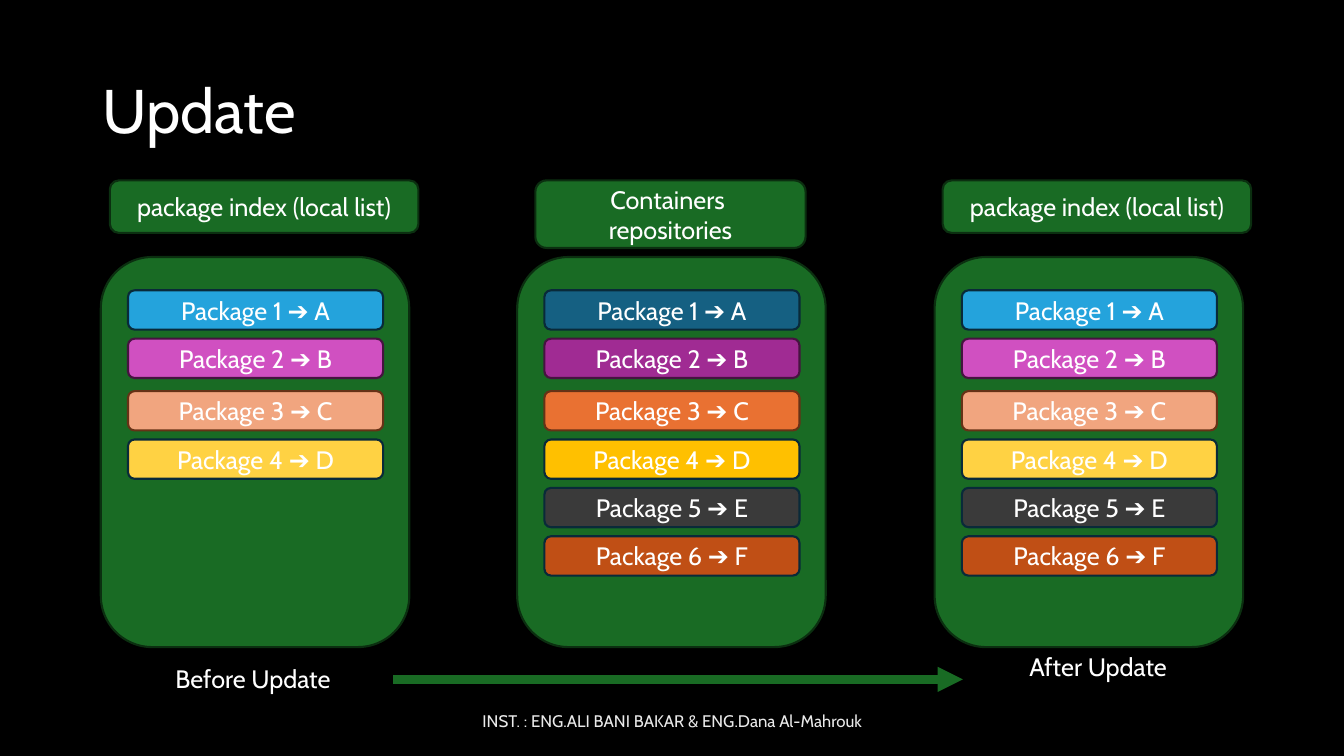
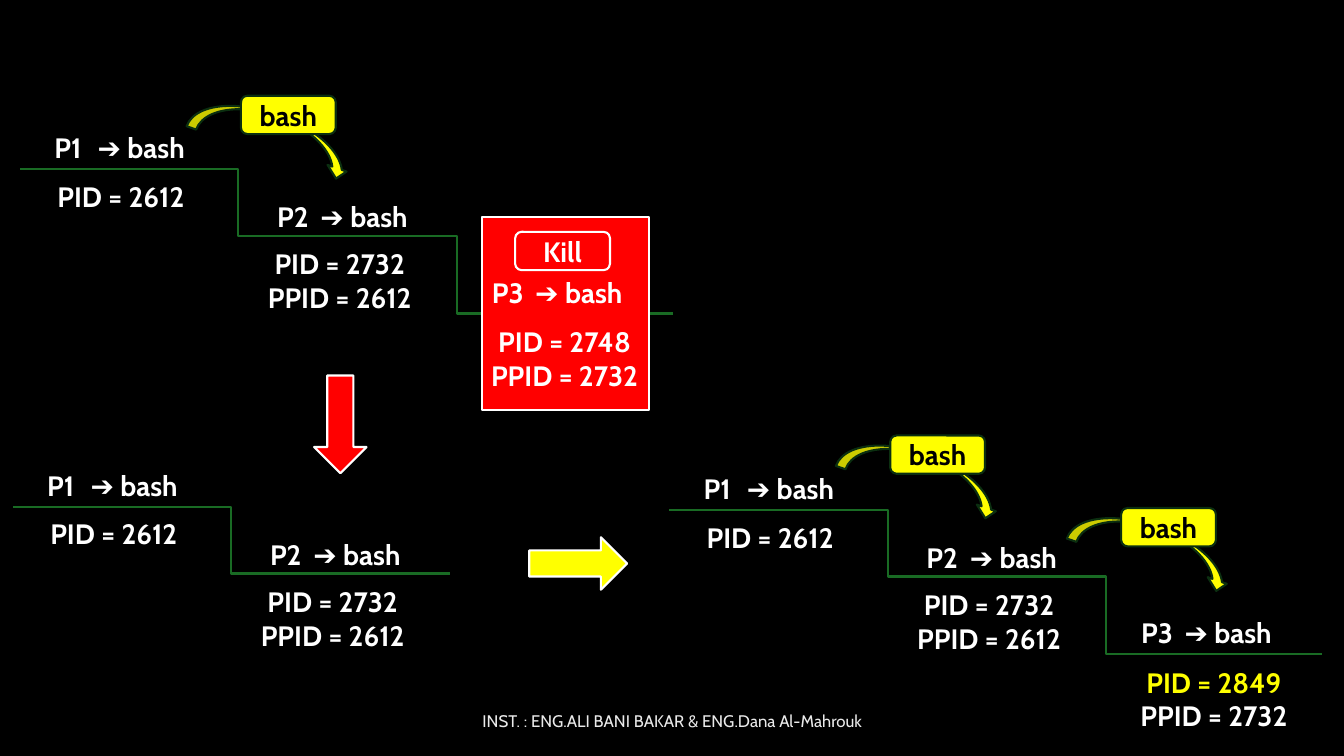
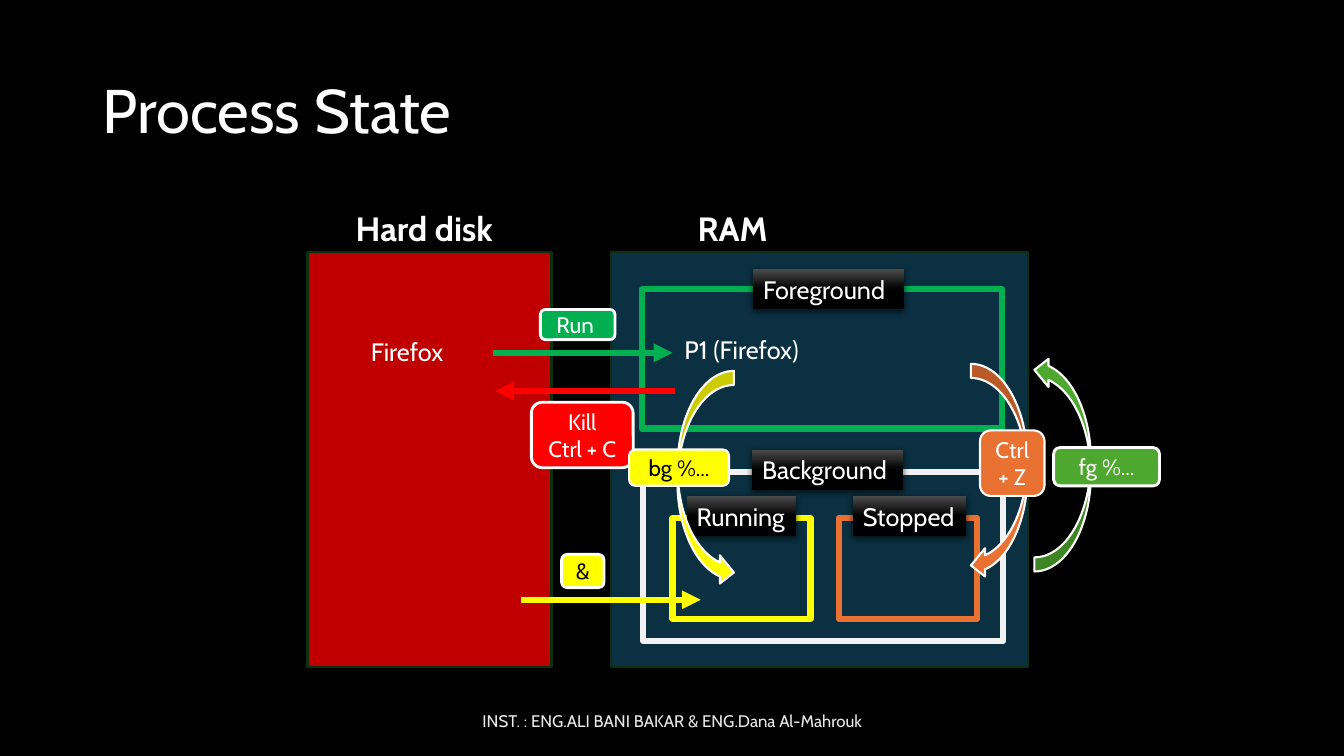
from dataclasses import dataclass

import lxml.etree
import pptx
import pptx.dml.color
import pptx.enum.shapes
import pptx.enum.text
import pptx.oxml.ns
import pptx.util

Inches = pptx.util.Inches
Pt = pptx.util.Pt
qn = pptx.oxml.ns.qn
ShapeKind = pptx.enum.shapes.MSO_SHAPE
ConnectorKind = pptx.enum.shapes.MSO_CONNECTOR
Align = pptx.enum.text.PP_ALIGN
Anchor = pptx.enum.text.MSO_ANCHOR


@dataclass(frozen=True)
class Theme:
    font: str = "Cabin"
    title_size: int = 44
    heading_size: int = 24
    process_size: int = 20
    body_size: int = 18
    tag_size: int = 16
    footer_size: int = 12
    black: str = "000000"
    white: str = "FFFFFF"
    footer: str = "EAEAEA"
    green: str = "196B24"
    dark_green: str = "0B2F10"
    navy: str = "092A39"
    plum: str = "461340"
    brown: str = "663216"
    red: str = "FF0000"
    yellow: str = "FFFF00"
    run_green: str = "00B050"
    fg_green: str = "4EA72E"
    orange: str = "E97132"
    disk_red: str = "C00000"
    ram_blue: str = "0B3041"
    pale: str = "F2F2F2"
    plate_gray: str = "4B4B4B"


THEME = Theme()
FOOTER = "INST. : ENG.ALI BANI BAKAR & ENG.Dana Al-Mahrouk"
LOCAL_COLORS = ["24A3DC", "D050C1", "F1A57F", "FFD243", "3A3A3A", "C04F15"]
REPOSITORY_COLORS = ["156082", "A02B93", "E97132", "FFC000", "3A3A3A", "C04F15"]
BAR_OUTLINES = [THEME.navy, THEME.plum, THEME.brown] + [THEME.navy] * 3


def rgb(color):
    return pptx.dml.color.RGBColor.from_string(color)


def write_text(shape, text, *, size=THEME.body_size, color=THEME.white,
               first_color=None, bold=False, align=Align.LEFT,
               anchor=Anchor.TOP, wrap=True, spacing=None, tab=None):
    frame = shape.text_frame
    frame.word_wrap = wrap
    frame.vertical_anchor = anchor
    for index, line in enumerate(text.split("\n")):
        paragraph = frame.add_paragraph() if index else frame.paragraphs[0]
        if tab:
            properties = paragraph._p.get_or_add_pPr()
            tabs = lxml.etree.SubElement(properties, qn("a:tabLst"))
            lxml.etree.SubElement(tabs, qn("a:tab"), pos=str(Inches(tab)), algn="l")
        paragraph.alignment = align
        if spacing:
            paragraph.line_spacing = spacing
        run = paragraph.add_run()
        run.text = line
        run.font.name = THEME.font
        run.font.size = Pt(size)
        run.font.bold = bold
        run.font.color.rgb = rgb(first_color if first_color and index == 0 else color)


def add_label(slide, text, left, top, width, height=0.4, **text_format):
    label = slide.shapes.add_textbox(*map(Inches, (left, top, width, height)))
    write_text(label, text, **text_format)


def add_block(slide, kind, left, top, width, height, fill=None,
              outline=THEME.dark_green, weight=1.5, rotation=0, flip=None):
    shape = slide.shapes.add_shape(kind, *map(Inches, (left, top, width, height)))
    shape.shadow.inherit = False
    if fill:
        shape.fill.solid()
        shape.fill.fore_color.rgb = rgb(fill)
    else:
        shape.fill.background()
    if outline:
        shape.line.color.rgb = rgb(outline)
        shape.line.width = Pt(weight)
    else:
        shape.line.fill.background()
    shape.rotation = rotation
    if flip:
        shape._element.spPr.find(qn("a:xfrm")).set(flip, "1")
    return shape


def add_tag(slide, text, left, top, width, height, fill,
            outline=THEME.dark_green, weight=1.5, **text_format):
    tag = add_block(slide, ShapeKind.ROUNDED_RECTANGLE, left, top, width, height,
                    fill, outline, weight)
    write_text(tag, text, align=Align.CENTER, anchor=Anchor.MIDDLE, **text_format)


def add_line(slide, start, end, color, weight,
             kind=ConnectorKind.STRAIGHT, arrow=True):
    connector = slide.shapes.add_connector(kind, *map(Inches, start + end))
    connector.line.color.rgb = rgb(color)
    connector.line.width = Pt(weight)
    if arrow:
        lxml.etree.SubElement(connector.line._get_or_add_ln(), qn("a:tailEnd"),
                              type="triangle")
    lxml.etree.SubElement(connector._element.spPr, qn("a:effectLst"))


def add_plate(slide, text, left, top, width):
    plate = add_block(slide, ShapeKind.RECTANGLE, left, top, width, 0.4, outline=None)
    plate.fill.gradient()
    plate.fill.gradient_angle = 270
    stops = zip(plate.fill.gradient_stops, (0, 0.5), (THEME.plate_gray, THEME.black))
    for stop, position, color in stops:
        stop.position = position
        stop.color.rgb = rgb(color)
    effects = plate._element.spPr.find(qn("a:effectLst"))
    shadow = lxml.etree.SubElement(effects, qn("a:outerShdw"), blurRad=str(Pt(4.5)),
                                   dist=str(Pt(1.5)), dir="5400000",
                                   algn="ctr", rotWithShape="0")
    shade = lxml.etree.SubElement(shadow, qn("a:srgbClr"), val=THEME.black)
    lxml.etree.SubElement(shade, qn("a:alpha"), val="63000")
    write_text(plate, text, wrap=False)


def start_slide(presentation, title=None):
    slide = presentation.slides.add_slide(presentation.slide_layouts[6])
    if title:
        add_label(slide, title, 0.92, 0.4, 11.5, 1.45, size=THEME.title_size,
                  anchor=Anchor.MIDDLE, spacing=0.9)
    add_label(slide, FOOTER, 4.42, 6.95, 4.5, size=THEME.footer_size,
              color=THEME.footer, align=Align.CENTER, anchor=Anchor.MIDDLE)
    return slide


def add_package_column(slide, left, colors):
    add_block(slide, ShapeKind.ROUNDED_RECTANGLE, left, 2.55, 3.06, 3.87, THEME.green)
    for index, (fill, outline) in enumerate(zip(colors, BAR_OUTLINES)):
        top = 2.88 + 0.48 * index + (0.04 if index > 1 else 0)
        add_tag(slide, f"Package {index + 1} ➔ {'ABCDEF'[index]}",
                left + 0.27, top, 2.53, 0.39, fill, outline)


def build_update(presentation):
    slide = start_slide(presentation, "Update")
    for left, colors in ((1, LOCAL_COLORS[:4]), (5.13, REPOSITORY_COLORS),
                         (9.27, LOCAL_COLORS)):
        add_package_column(slide, left, colors)
    for left in (1.09, 9.35):
        add_tag(slide, "package index (local list)", left, 1.79, 3.06, 0.52, THEME.green)
    add_tag(slide, "Containers \nrepositories", 5.31, 1.79, 2.68, 0.67, THEME.green)
    add_label(slide, "Before Update", 1.64, 6.53, 1.77, wrap=False)
    add_label(slide, "After Update", 10.11, 6.41, 1.58, wrap=False)
    add_line(slide, (3.9, 6.74), (9.55, 6.74), THEME.green, 6)


def add_stair_lines(slide, left, top, count):
    steps = [((0, 0), (4.33, 0.66)), ((2.19, 0.66), (6.47, 1.43))]
    for start, end in steps[:count - 1]:
        add_line(slide, (left + start[0], top + start[1]),
                 (left + end[0], top + end[1]), THEME.green, 1.5,
                 ConnectorKind.ELBOW, arrow=False)


def add_stair_labels(slide, left, top, last_pid=None, last_color=THEME.white):
    style = dict(size=THEME.process_size, bold=True)
    names = [(0.24, -0.43), (2.45, 0.25), (4.58, 1)]
    for index, (across, down) in enumerate(names[:3 if last_pid else 2]):
        add_label(slide, f"P{index + 1}\t➔ bash", left + across, top + down,
                  1.62, 0.44, tab=0.43, **style)
    add_label(slide, "PID = 2612", left + 0.27, top + 0.05, 1.51, 0.44,
              wrap=False, **style)
    add_label(slide, "PID = 2732\nPPID = 2612", left + 2.33, top + 0.72, 1.68, 0.77,
              wrap=False, align=Align.CENTER, **style)
    if last_pid:
        add_label(slide, f"PID = {last_pid}\nPPID = 2732", left + 4.56, top + 1.49,
                  1.68, 0.77, wrap=False, align=Align.CENTER,
                  first_color=last_color, **style)


def add_bash_call(slide, left, top):
    add_block(slide, ShapeKind.CURVED_DOWN_ARROW, left, top, 1.67, 0.4,
              THEME.yellow, rotation=19.3)
    add_tag(slide, "bash", left + 0.52, top - 0.19, 0.94, 0.38, THEME.yellow,
            size=THEME.process_size, color=THEME.black, bold=True)


def build_processes(presentation):
    slide = start_slide(presentation)
    running, killed, restarted = (0.2, 1.68), (0.13, 5.03), (6.64, 5.06)
    for origin, count in ((running, 3), (killed, 2), (restarted, 3)):
        add_stair_lines(slide, *origin, count)
    add_block(slide, ShapeKind.RECTANGLE, 4.78, 2.15, 1.66, 1.92,
              THEME.red, THEME.white)
    add_tag(slide, "Kill", 5.11, 2.3, 0.94, 0.38, THEME.red, THEME.white,
            size=THEME.process_size, bold=True)
    add_stair_labels(slide, *running, last_pid=2748)
    add_stair_labels(slide, *killed)
    add_stair_labels(slide, *restarted, last_pid=2849, last_color=THEME.yellow)
    for left, top in ((1.87, 1.14), (8.31, 4.51), (10.6, 5.23)):
        add_bash_call(slide, left, top)
    for left, top, fill, rotation in ((2.89, 3.95, THEME.red, 90),
                                      (5.25, 5.33, THEME.yellow, 0)):
        add_block(slide, ShapeKind.RIGHT_ARROW, left, top, 0.97, 0.52, fill,
                  THEME.white, rotation=rotation)


def add_state(slide, name, frame, color, plate):
    add_block(slide, ShapeKind.RECTANGLE, *frame, outline=color, weight=4.5)
    add_plate(slide, name, *plate)


def add_turn(slide, left, top, fill, flip=None):
    add_block(slide, ShapeKind.CURVED_LEFT_ARROW, left, top, 0.56, 2.14, fill,
              THEME.white, flip=flip)


def add_command(slide, text, left, top, width, height, fill, weight=2.0,
                color=THEME.white):
    add_tag(slide, text, left, top, width, height, fill, THEME.white, weight,
            size=THEME.tag_size, color=color)


def build_process_state(presentation):
    slide = start_slide(presentation, "Process State")
    for left, width, fill in ((3.05, 2.42, THEME.disk_red), (6.06, 4.14, THEME.ram_blue)):
        add_block(slide, ShapeKind.RECTANGLE, left, 2.5, width, 4.12, fill)
    for text, left, width in (("Hard disk", 3.43, 1.66), ("RAM", 6.82, 0.9)):
        add_label(slide, text, left, 2.01, width, 0.5, size=THEME.heading_size,
                  bold=True, wrap=False)
    add_label(slide, "Firefox", 3.58, 3.29, 0.92, wrap=False)
    add_line(slide, (4.89, 3.5), (6.67, 3.5), THEME.run_green, 4.5)
    add_label(slide, "P1 (Firefox)", 6.69, 3.27, 1.4, wrap=False)
    add_command(slide, "Run ", 5.36, 3.07, 0.74, 0.3, THEME.run_green)
    add_state(slide, "Foreground", (6.37, 2.87, 3.57, 1.38), THEME.run_green,
              (7.47, 2.67, 1.5))
    add_state(slide, "Background", (6.38, 4.68, 3.57, 1.68), THEME.pale,
              (7.46, 4.46, 1.5))
    add_state(slide, "Running", (6.67, 5.14, 1.37, 1), THEME.yellow,
              (6.81, 4.92, 1.09))
    add_state(slide, "Stopped", (8.32, 5.14, 1.37, 1), THEME.orange,
              (8.46, 4.92, 1.12))
    add_line(slide, (6.69, 3.88), (4.91, 3.88), THEME.red, 4.5)
    add_command(slide, "Kill\nCtrl + C", 5.27, 3.99, 1.01, 0.65, THEME.red)
    add_line(slide, (5.17, 5.95), (6.95, 5.95), THEME.yellow, 4.5)
    add_command(slide, "&", 5.57, 5.5, 0.42, 0.33, THEME.yellow, color=THEME.black)
    add_turn(slide, 9.63, 3.61, THEME.orange)
    add_turn(slide, 10.26, 3.53, THEME.fg_green, "flipV")
    add_command(slide, "fg %...", 10.45, 4.44, 1.05, 0.38, THEME.fg_green)
    add_command(slide, "Ctrl + Z", 9.72, 4.27, 0.64, 0.65, THEME.orange, 1.5)
    add_turn(slide, 6.72, 3.68, THEME.yellow, "flipH")
    add_command(slide, "bg %...", 6.24, 4.46, 0.99, 0.36, THEME.yellow, 1.5, THEME.black)


def main():
    presentation = pptx.Presentation()
    presentation.slide_width = Inches(13.33)
    presentation.slide_height = Inches(7.5)
    background = presentation.slide_master.background.fill
    background.solid()
    background.fore_color.rgb = rgb(THEME.black)
    build_update(presentation)
    build_processes(presentation)
    build_process_state(presentation)
    presentation.save("out.pptx")


if __name__ == "__main__":
    main()
